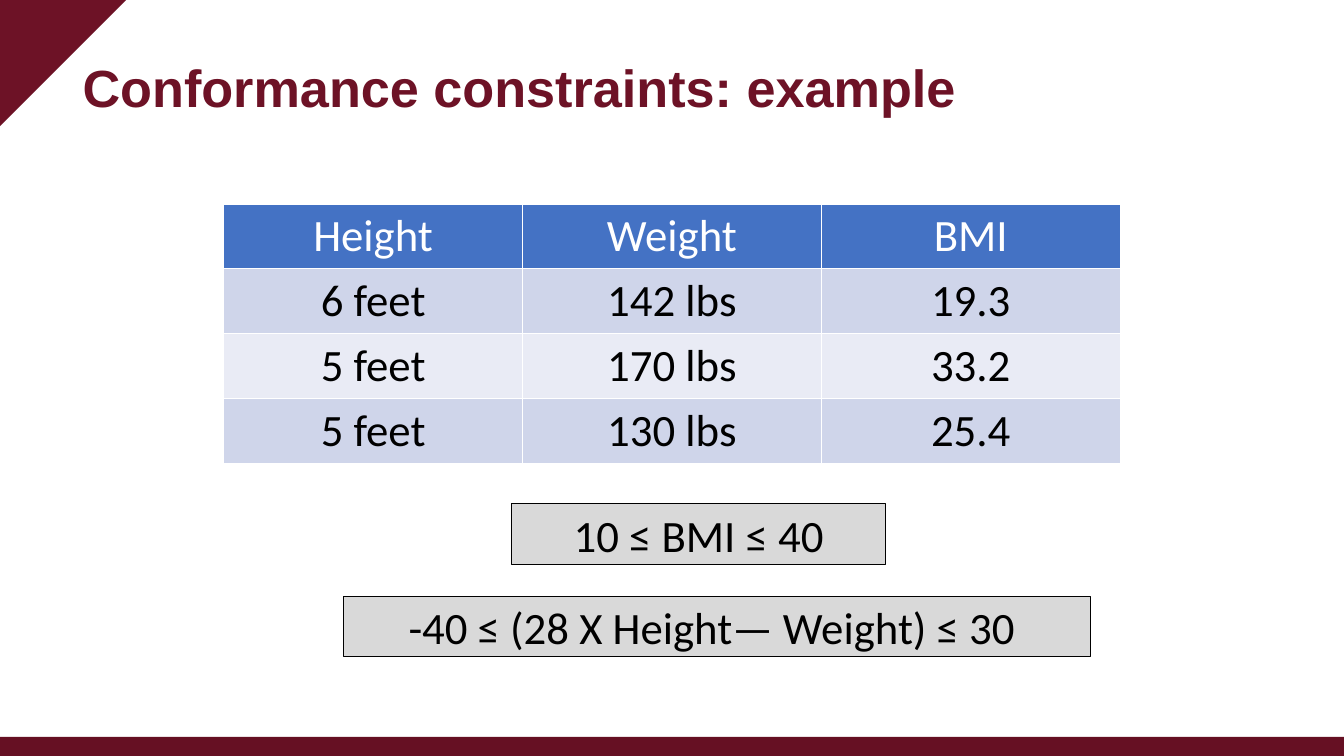
import pptx
import pptx.util
import pptx.dml.color
import pptx.enum.shapes
import pptx.enum.text
import pptx.oxml
from pptx.oxml.ns import nsdecls

Cm = pptx.util.Cm
Pt = pptx.util.Pt
ALIGN = pptx.enum.text.PP_ALIGN
ANCHOR = pptx.enum.text.MSO_ANCHOR
PRESET = pptx.enum.shapes.MSO_SHAPE

HEADING = "Conformance constraints: example"
MEASUREMENTS = [
    ("Height", "Weight", "BMI"),
    ("6 feet", "142 lbs", "19.3"),
    ("5 feet", "170 lbs", "33.2"),
    ("5 feet", "130 lbs", "25.4"),
]
CONSTRAINTS = [
    ("10 ≤ BMI ≤ 40", 12.9, 12.7, 9.42),
    ("-40 ≤ (28 X Height— Weight) ≤ 30 ", 8.66, 15.02, 18.82),
]

SLIDE_WIDTH, SLIDE_HEIGHT = 33.87, 19.05
FOOTER_HEIGHT = 0.48
CORNER_SIDE = 3.18
COLUMN_WIDTH, ROW_HEIGHT = 7.53, 1.63
CONSTRAINT_HEIGHT = 1.52
HEADER_FILL = "4472C4"
BAND_FILLS = ["E9EBF5", "CFD5EA"]

HEADING_FONT = {"name": "Arial", "size": Pt(37.3), "bold": True}
CONTENT_FONT = {"name": "Calibri", "size": Pt(32), "bold": False}
HEADING_FRAME = {
    "margin_left": Cm(0.51), "margin_top": 0, "margin_right": 0, "margin_bottom": 0,
    "vertical_anchor": ANCHOR.TOP, "word_wrap": True,
    "auto_size": pptx.enum.text.MSO_AUTO_SIZE.NONE,
}
CONSTRAINT_FRAME = {
    "margin_left": 0, "margin_top": 0, "margin_right": 0, "margin_bottom": 0,
    "vertical_anchor": ANCHOR.MIDDLE, "word_wrap": True,
}


def color(value):
    return pptx.dml.color.RGBColor.from_string(value)


def apply(target, values):
    for key, value in values.items():
        setattr(target, key, value)


def write(frame, text, font, ink, alignment):
    frame.text = text
    paragraph = frame.paragraphs[0]
    paragraph.alignment = alignment
    run_font = paragraph.runs[0].font
    apply(run_font, font)
    run_font.color.rgb = color(ink)
    return paragraph


def add_block(slide, preset, left, top, width, height, fill):
    block = slide.shapes.add_shape(preset, Cm(left), Cm(top), Cm(width), Cm(height))
    block.shadow.inherit = False
    block.fill.solid()
    block.fill.fore_color.rgb = color(fill)
    block.line.fill.background()
    return block


def add_borders(cell):
    properties = cell._tc.get_or_add_tcPr()
    for position, side in enumerate(("lnL", "lnR", "lnT", "lnB")):
        border = pptx.oxml.parse_xml(
            f'<a:{side} {nsdecls("a")} w="12700"><a:solidFill>'
            f'<a:srgbClr val="FFFFFF"/></a:solidFill></a:{side}>')
        properties.insert(position, border)


def add_heading(slide):
    heading = slide.shapes.title
    apply(heading, {"left": Cm(1.57), "top": Cm(1.57), "width": Cm(30.68), "height": Cm(1.73)})
    apply(heading.text_frame, HEADING_FRAME)
    paragraph = write(heading.text_frame, HEADING, HEADING_FONT, "6D1226", ALIGN.LEFT)
    paragraph.line_spacing = 0.9


def add_measurements(slide):
    rows, columns = len(MEASUREMENTS), len(MEASUREMENTS[0])
    width = columns * COLUMN_WIDTH
    table = slide.shapes.add_table(
        rows, columns, Cm((SLIDE_WIDTH - width) / 2), Cm(5.14),
        Cm(width), Cm(rows * ROW_HEIGHT)).table
    for column in table.columns:
        column.width = Cm(COLUMN_WIDTH)
    for index, record in enumerate(MEASUREMENTS):
        table.rows[index].height = Cm(ROW_HEIGHT)
        fill = BAND_FILLS[index % 2] if index else HEADER_FILL
        ink = "000000" if index else "FFFFFF"
        for position, value in enumerate(record):
            cell = table.cell(index, position)
            write(cell.text_frame, value, CONTENT_FONT, ink, ALIGN.CENTER)
            cell.fill.solid()
            cell.fill.fore_color.rgb = color(fill)
            add_borders(cell)


def add_constraints(slide):
    for text, left, top, width in CONSTRAINTS:
        constraint = add_block(slide, PRESET.RECTANGLE, left, top, width,
                               CONSTRAINT_HEIGHT, "D9D9D9")
        constraint.line.color.rgb = color("000000")
        constraint.line.width = Pt(0.75)
        apply(constraint.text_frame, CONSTRAINT_FRAME)
        write(constraint.text_frame, text, CONTENT_FONT, "000000", ALIGN.CENTER)


def main():
    deck = pptx.Presentation()
    apply(deck, {"slide_width": Cm(SLIDE_WIDTH), "slide_height": Cm(SLIDE_HEIGHT)})
    slide = deck.slides.add_slide(deck.slide_layouts[5])
    add_block(slide, PRESET.RECTANGLE, 0, SLIDE_HEIGHT - FOOTER_HEIGHT,
              SLIDE_WIDTH, FOOTER_HEIGHT, "661023")
    corner = add_block(slide, PRESET.RIGHT_TRIANGLE, 0, 0, CORNER_SIDE, CORNER_SIDE, "6D1226")
    corner.rotation = 90
    add_heading(slide)
    add_measurements(slide)
    add_constraints(slide)
    deck.save("out.pptx")


if __name__ == "__main__":
    main()
